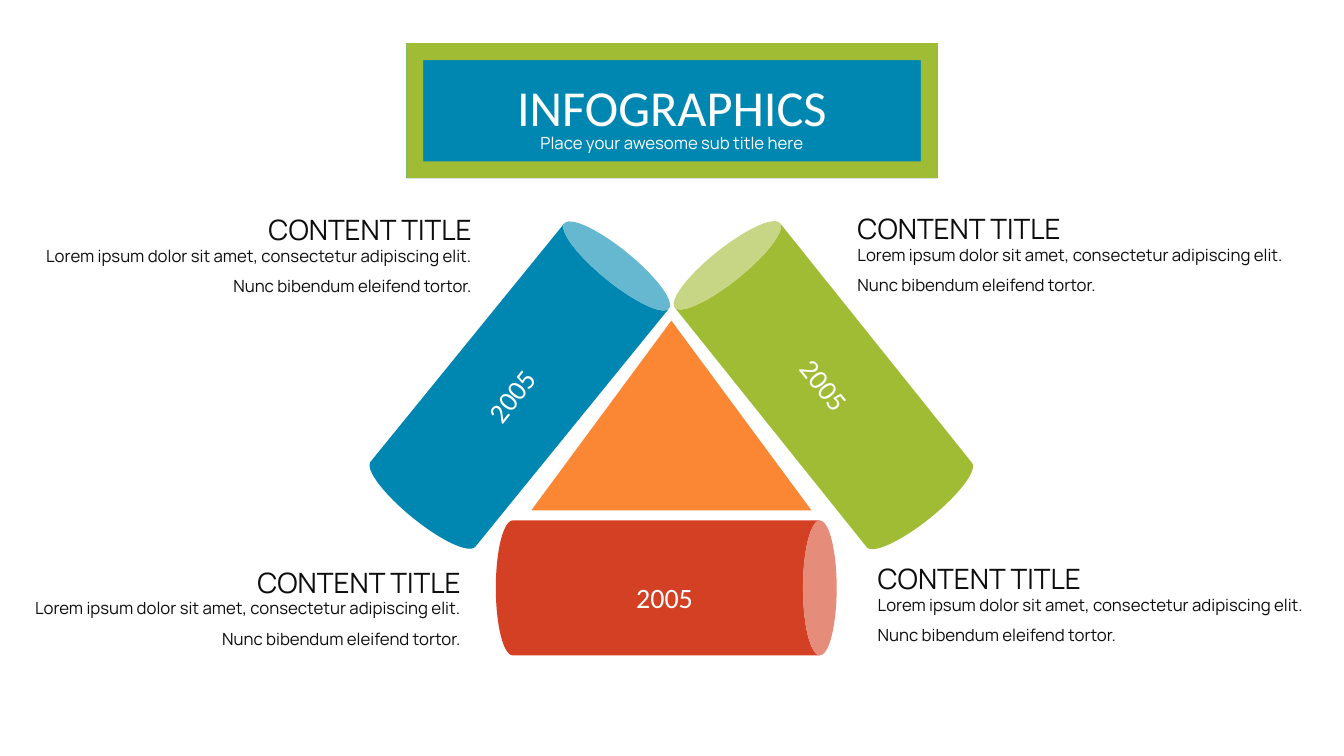
from dataclasses import dataclass

from pptx import Presentation
from pptx.dml.color import RGBColor
from pptx.enum.shapes import MSO_SHAPE as Preset
from pptx.enum.text import MSO_AUTO_SIZE as AutoSize, PP_ALIGN as Align
from pptx.shapes.autoshape import Shape
from pptx.slide import Slide
from pptx.util import Cm, Pt

BLUE = RGBColor(0x00, 0x87, 0xB1)
GREEN = RGBColor(0xA0, 0xBC, 0x34)
RED = RGBColor(0xD4, 0x40, 0x24)
ORANGE = RGBColor(0xFB, 0x87, 0x34)
INK = RGBColor(0x0D, 0x0D, 0x0D)
WHITE = RGBColor(0xFF, 0xFF, 0xFF)

HEADING_FONT = "Calibri"
BODY_FONT = "Manrope"
BODY_TEXT = ("Lorem ipsum dolor sit amet, consectetur adipiscing elit. "
             "Nunc bibendum eleifend tortor.")
BODY_OFFSET = 1.0  # from the top of a content title to its body


@dataclass(frozen=True)
class Box:
    """Position and size in centimetres, rotation in degrees."""
    left: float
    top: float
    width: float
    height: float
    rotation: float = 0


@dataclass(frozen=True)
class TextStyle:
    font: str
    size: int
    color: RGBColor
    line_spacing: float = 1.0


@dataclass(frozen=True)
class Cylinder:
    left: float
    top: float
    rotation: float
    color: RGBColor


@dataclass(frozen=True)
class YearLabel:
    left: float
    top: float
    rotation: float


@dataclass(frozen=True)
class Content:
    left: float
    top: float
    title_align: Align
    body_align: Align


YEAR_STYLE = TextStyle(HEADING_FONT, 20, WHITE)
TITLE_STYLE = TextStyle(HEADING_FONT, 36, WHITE, 1.5)
SUBTITLE_STYLE = TextStyle(BODY_FONT, 12, WHITE, 1.5)
CONTENT_TITLE_STYLE = TextStyle(BODY_FONT, 20, INK, 1.5)
CONTENT_BODY_STYLE = TextStyle(BODY_FONT, 12, INK, 1.5)

CYLINDERS = [
    Cylinder(11.4, 5.41, 39.1, BLUE),
    Cylinder(19.05, 5.41, 321.3, GREEN),
    Cylinder(15.09, 10.52, 90, RED),
]
YEAR_LABELS = [
    YearLabel(14.17, 14.5, 0),
    YearLabel(10.31, 9.42, 308.4),
    YearLabel(18.19, 9.14, 51.6),
]
CONTENTS = [
    Content(21.36, 4.78, Align.JUSTIFY, Align.LEFT),
    Content(21.87, 13.6, Align.JUSTIFY, Align.LEFT),
    Content(0.18, 4.81, Align.RIGHT, Align.RIGHT),
    Content(-0.1, 13.69, Align.RIGHT, Align.RIGHT),
]


def add_filled_shape(slide: Slide, preset: Preset, box: Box, color: RGBColor) -> Shape:
    shape = slide.shapes.add_shape(
        preset, Cm(box.left), Cm(box.top), Cm(box.width), Cm(box.height))
    shape.rotation = box.rotation
    shape.shadow.inherit = False
    shape.fill.solid()
    shape.fill.fore_color.rgb = color
    shape.line.fill.background()
    return shape


def add_text(slide: Slide, text: str, box: Box, style: TextStyle, align: Align) -> Shape:
    shape = slide.shapes.add_textbox(
        Cm(box.left), Cm(box.top), Cm(box.width), Cm(box.height))
    shape.rotation = box.rotation
    text_frame = shape.text_frame
    text_frame.text = text
    text_frame.word_wrap = True
    text_frame.auto_size = AutoSize.SHAPE_TO_FIT_TEXT
    paragraph = text_frame.paragraphs[0]
    paragraph.alignment = align
    paragraph.line_spacing = style.line_spacing
    font = paragraph.runs[0].font
    font.name = style.font
    font.size = Pt(style.size)
    font.color.rgb = style.color
    return shape


def add_content(slide: Slide, content: Content) -> None:
    add_text(slide, BODY_TEXT,
             Box(content.left, content.top + BODY_OFFSET, 11.96, 1.75),
             CONTENT_BODY_STYLE, content.body_align)
    add_text(slide, "CONTENT TITLE",
             Box(content.left, content.top, 11.96, 1.55),
             CONTENT_TITLE_STYLE, content.title_align)


def add_header(slide: Slide) -> None:
    banner = Box(10.24, 1.09, 13.39, 3.4)
    add_filled_shape(slide, Preset.RECTANGLE, banner, BLUE)
    add_filled_shape(slide, Preset.FRAME, banner, GREEN)
    add_text(slide, "Place your awesome sub title here",
             Box(banner.left, 2.97, banner.width, 1.02), SUBTITLE_STYLE, Align.CENTER)
    add_text(slide, "INFOGRAPHICS",
             Box(banner.left, 1.02, banner.width, 2.57), TITLE_STYLE, Align.CENTER)


def main() -> None:
    presentation = Presentation()
    presentation.slide_width = Cm(33.87)
    presentation.slide_height = Cm(19.05)
    slide = presentation.slides.add_slide(presentation.slide_layouts[6])

    # Cylinders around the central triangle
    for cylinder in CYLINDERS:
        box = Box(cylinder.left, cylinder.top, 3.4, 8.59, cylinder.rotation)
        add_filled_shape(slide, Preset.CAN, box, cylinder.color)
    add_filled_shape(slide, Preset.ISOSCELES_TRIANGLE, Box(13.39, 8.08, 7.06, 4.78), ORANGE)

    # Years on the cylinders
    for label in YEAR_LABELS:
        box = Box(label.left, label.top, 5.16, 1.12, label.rotation)
        add_text(slide, "2005", box, YEAR_STYLE, Align.CENTER)

    # Content blocks in the four corners
    for content in CONTENTS:
        add_content(slide, content)

    # Title banner
    add_header(slide)

    presentation.save("out.pptx")


if __name__ == "__main__":
    main()
